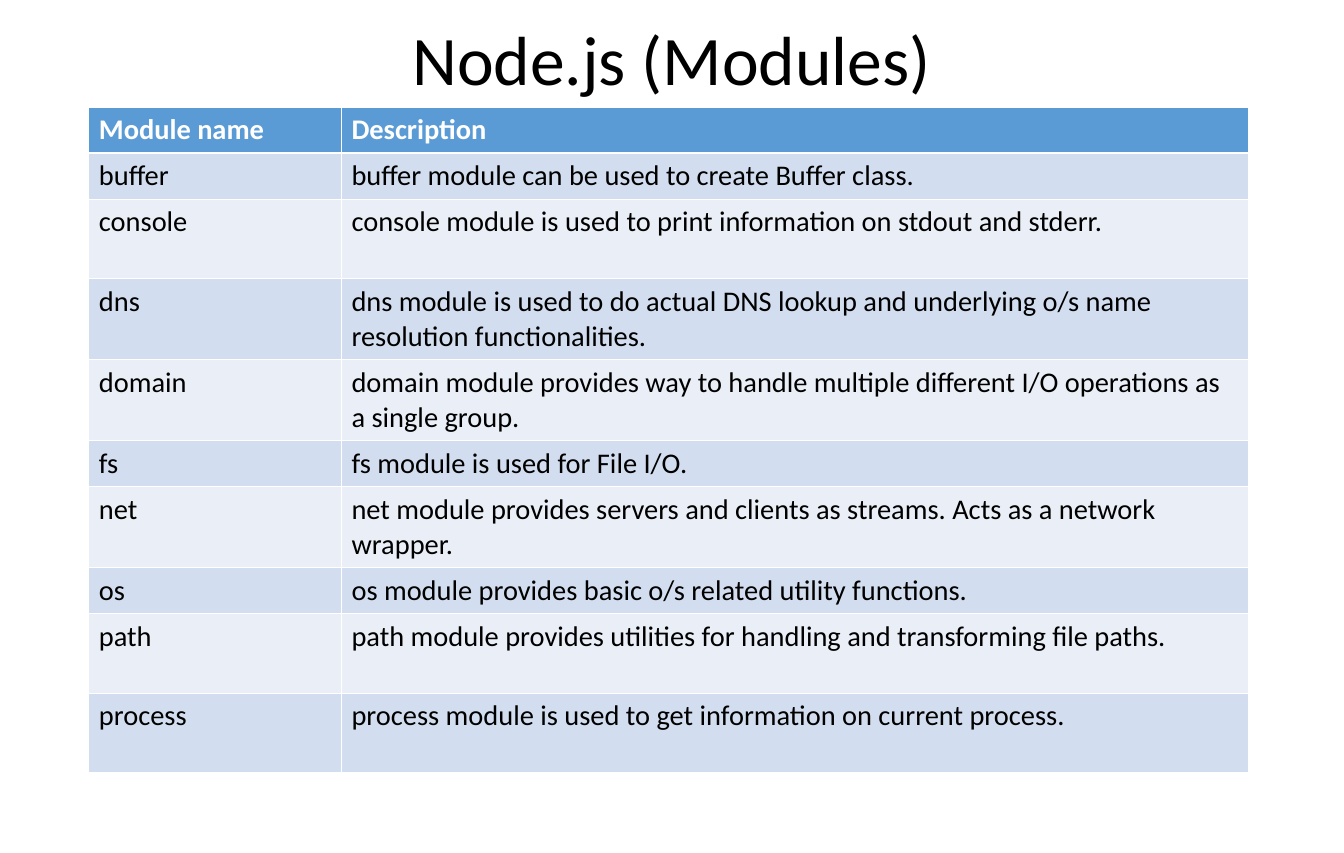
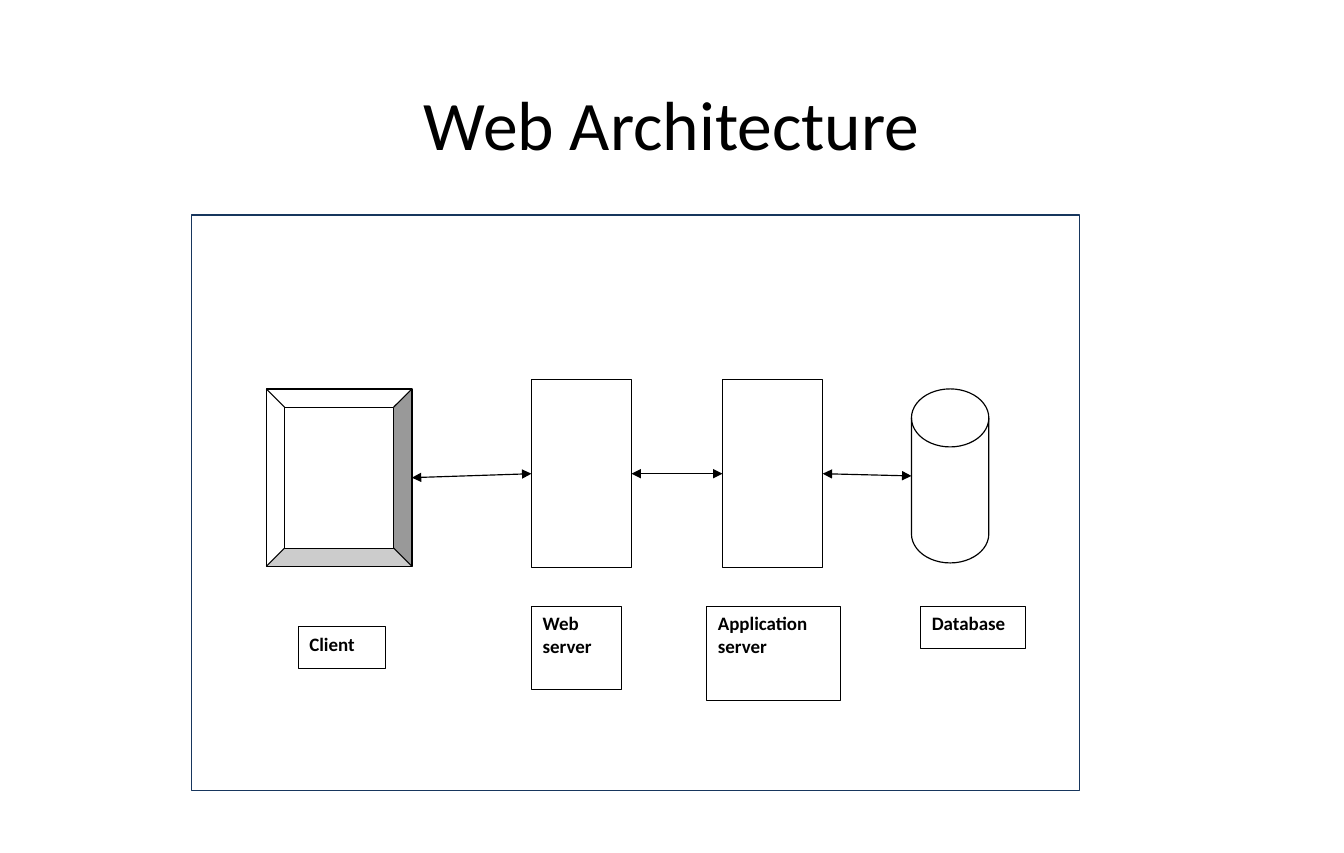
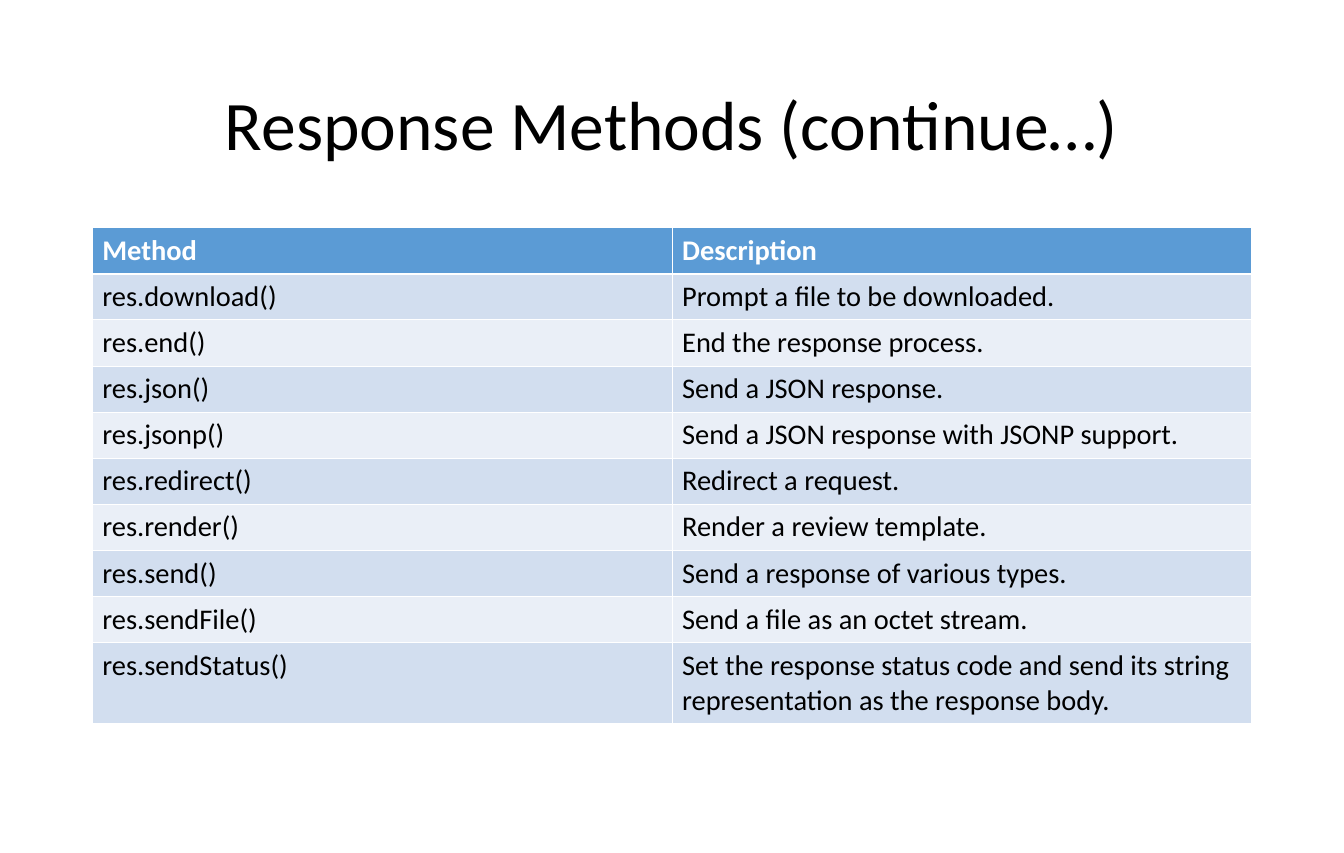
from lxml import etree
from pptx import Presentation
from pptx.dml.color import RGBColor
from pptx.enum import shapes, text
from pptx.oxml import ns
from pptx.util import Cm, Inches, Pt

FONT = "Calibri"
BLACK = RGBColor(0x00, 0x00, 0x00)
WHITE = RGBColor(0xFF, 0xFF, 0xFF)
NAVY = RGBColor(0x17, 0x36, 0x5D)
HEADER_BLUE = RGBColor(0x5B, 0x9B, 0xD5)
BANDS = (RGBColor(0xD2, 0xDE, 0xEF), RGBColor(0xEA, 0xEF, 0xF7))

TITLE_BOX = (0.81, 0.4, 10.19, 1.45)
TABLE_WIDTH = 10.19
SHORT, TALL = 0.4, 0.7
THIN, THICK = 0.45, 1.47

MODULES = [
    ("Module name", "Description", SHORT),
    ("buffer", "buffer module can be used to create Buffer class.", SHORT),
    ("console", "console module is used to print information on stdout and stderr.", TALL),
    ("dns", "dns module is used to do actual DNS lookup and underlying o/s name "
            "resolution functionalities.", TALL),
    ("domain", "domain module provides way to handle multiple different I/O operations as "
               "a single group.", TALL),
    ("fs", "fs module is used for File I/O.", SHORT),
    ("net", "net module provides servers and clients as streams. Acts as a network "
            "wrapper.", TALL),
    ("os", "os module provides basic o/s related utility functions.", SHORT),
    ("path", "path module provides utilities for handling and transforming file paths.", TALL),
    ("process", "process module is used to get information on current process.", TALL),
]

RESPONSE_METHODS = [
    ("Method", "Description", SHORT),
    ("res.download()", "Prompt a file to be downloaded.", SHORT),
    ("res.end()", "End the response process.", SHORT),
    ("res.json()", "Send a JSON response.", SHORT),
    ("res.jsonp()", "Send a JSON response with JSONP support.", SHORT),
    ("res.redirect()", "Redirect a request.", SHORT),
    ("res.render()", "Render a review template.", SHORT),
    ("res.send()", "Send a response of various types.", SHORT),
    ("res.sendFile()", "Send a file as an octet stream.", SHORT),
    ("res.sendStatus()", "Set the response status code and send its string "
                         "representation as the response body.", TALL),
]

KINDS = shapes.MSO_SHAPE
TIERS = [
    (KINDS.BEVEL, (0.66, 1.53, 1.28, 1.56), 0.75),
    (KINDS.RECTANGLE, (2.99, 1.45, 0.88, 1.65), 0.5),
    (KINDS.RECTANGLE, (4.67, 1.45, 0.88, 1.65), 0.5),
    (KINDS.FLOWCHART_MAGNETIC_DISK, (6.33, 1.53, 0.68, 1.53), 0.75),
]
CAPTIONS = [
    ("Client", (0.94, 3.62, 0.77, 0.37)),
    ("Web server", (2.99, 3.44, 0.79, 0.73)),
    ("Application server", (4.53, 3.44, 1.18, 0.83)),
    ("Database", (6.41, 3.44, 0.92, 0.37)),
]


def set_font(paragraph, size, color, bold=False):
    font = paragraph.font
    font.name = FONT
    font.size = Pt(size)
    font.bold = bold
    font.color.rgb = color


def add_titled_slide(presentation, title, box=TITLE_BOX):
    slide = presentation.slides.add_slide(presentation.slide_layouts[5])
    shape = slide.shapes.title
    shape.left, shape.top, shape.width, shape.height = map(Inches, box)
    frame = shape.text_frame
    frame.text = title
    frame.word_wrap = True
    frame.vertical_anchor = text.MSO_ANCHOR.MIDDLE
    paragraph = frame.paragraphs[0]
    paragraph.alignment = text.PP_ALIGN.CENTER
    paragraph.line_spacing = 0.9
    set_font(paragraph, 44, BLACK)
    return slide


def set_borders(cell, top, bottom):
    properties = cell._tc.get_or_add_tcPr()
    for side, width in (("L", THIN), ("R", THIN), ("T", top), ("B", bottom)):
        line = etree.SubElement(properties, ns.qn(f"a:ln{side}"), w=str(int(Pt(width))))
        fill = etree.SubElement(line, ns.qn("a:solidFill"))
        etree.SubElement(fill, ns.qn("a:srgbClr"), val=str(WHITE))


def add_banded_table(slide, left, top, column_widths, rows):
    height = sum(row[-1] for row in rows)
    table = slide.shapes.add_table(
        len(rows), len(column_widths), Inches(left), Inches(top),
        Inches(sum(column_widths)), Inches(height)).table
    for column, width in zip(table.columns, column_widths):
        column.width = Inches(width)
    for index, (*values, row_height) in enumerate(rows):
        header = index == 0
        table.rows[index].height = Inches(row_height)
        for cell, value in zip(table.rows[index].cells, values):
            set_borders(cell, THICK if index == 1 else THIN, THICK if header else THIN)
            cell.fill.solid()
            cell.fill.fore_color.rgb = HEADER_BLUE if header else BANDS[(index - 1) % 2]
            cell.margin_left = cell.margin_right = Inches(0.09)
            cell.text = value
            set_font(cell.text_frame.paragraphs[0], 18, WHITE if header else BLACK, header)


def add_outlined_shape(slide, kind, box, line_width, line_color=BLACK, fill=WHITE):
    shape = slide.shapes.add_shape(kind, *map(Inches, box))
    shape.shadow.inherit = False
    if fill is None:
        shape.fill.background()
    else:
        shape.fill.solid()
        shape.fill.fore_color.rgb = fill
    shape.line.color.rgb = line_color
    shape.line.width = Pt(line_width)
    return shape


def add_caption(slide, box, caption):
    frame = add_outlined_shape(slide, KINDS.RECTANGLE, box, 0.5).text_frame
    frame.word_wrap = True
    frame.vertical_anchor = text.MSO_ANCHOR.TOP
    frame.text = caption
    paragraph = frame.paragraphs[0]
    paragraph.alignment = text.PP_ALIGN.LEFT
    set_font(paragraph, 12, BLACK, True)


def add_double_arrow(slide, source, target):
    connector = slide.shapes.add_connector(
        shapes.MSO_CONNECTOR.STRAIGHT,
        source.left + source.width, source.top + source.height // 2,
        target.left, target.top + target.height // 2)
    connector.line.color.rgb = BLACK
    connector.line.width = Pt(0.75)
    line = connector.line._get_or_add_ln()
    for end in ("headEnd", "tailEnd"):
        etree.SubElement(line, ns.qn(f"a:{end}"), type="triangle")
    etree.SubElement(connector._element.spPr, ns.qn("a:effectLst"))


def add_architecture_diagram(slide, left, top, width, height):
    def place(box):
        return (left + box[0], top + box[1], *box[2:])

    add_outlined_shape(slide, KINDS.RECTANGLE, (left, top, width, height), 0.75, NAVY, None)
    tiers = [add_outlined_shape(slide, kind, place(box), line_width)
             for kind, box, line_width in TIERS]
    for caption, box in CAPTIONS:
        add_caption(slide, place(box), caption)
    for source, target in zip(tiers, tiers[1:]):
        add_double_arrow(slide, source, target)


def main():
    presentation = Presentation()
    presentation.slide_width = Cm(30)
    presentation.slide_height = Inches(7.5)

    slide = add_titled_slide(presentation, "Node.js (Modules)", (0.81, 0.19, 10.19, 0.72))
    add_banded_table(slide, 0.78, 0.94, (2.22, TABLE_WIDTH - 2.22), MODULES)

    slide = add_titled_slide(presentation, "Web Architecture")
    add_architecture_diagram(slide, 1.68, 1.89, 7.81, 5.06)

    slide = add_titled_slide(presentation, "Response Methods (continue…)")
    add_banded_table(slide, 0.81, 2, (TABLE_WIDTH / 2,) * 2, RESPONSE_METHODS)

    presentation.save("out.pptx")


if __name__ == "__main__":
    main()
